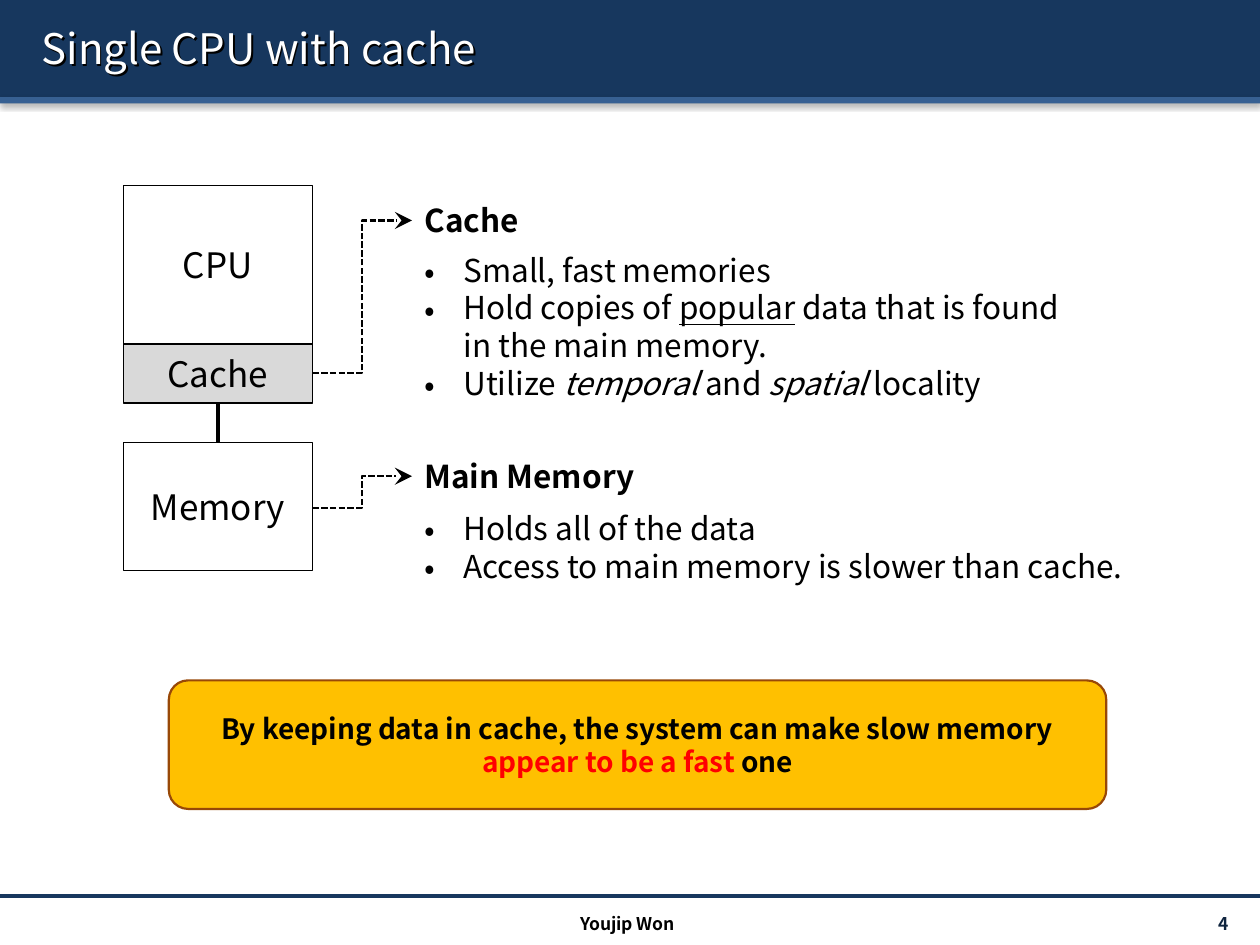
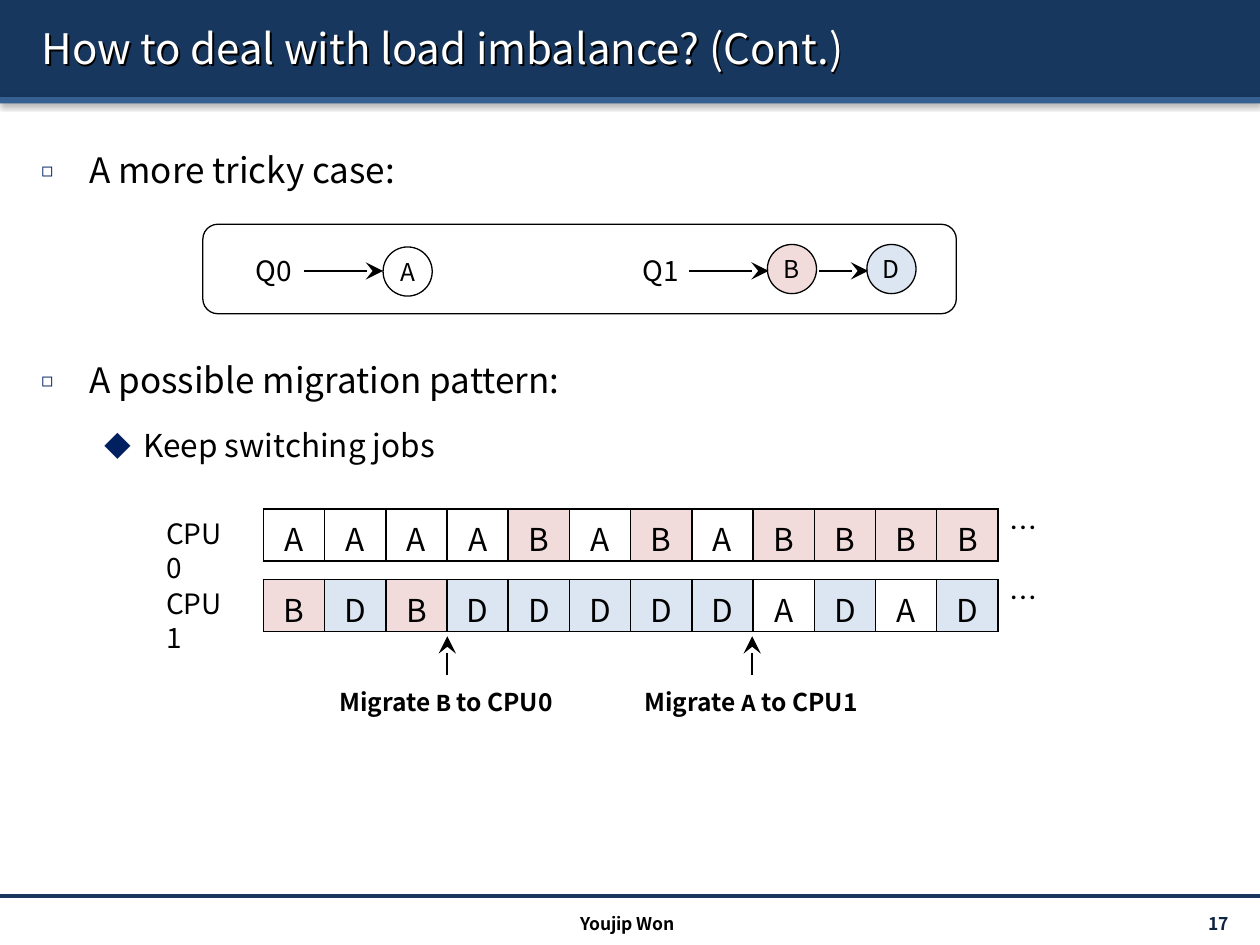
import lxml.etree
import pptx
import pptx.dml.color
import pptx.enum.dml
import pptx.enum.shapes
import pptx.enum.text
import pptx.oxml.ns
import pptx.util


class Theme:
    font = "Noto Sans CJK KR"
    code = "Courier New"
    navy = "17375E"
    blue = "376092"
    ink = "000000"
    paper = "FFFFFF"
    gray = "D9D9D9"
    gold = "FFC000"
    brown = "984807"
    red = "FF0000"
    mark = "002060"
    number = "0F243E"
    jobs = {"A": "FFFFFF", "B": "F2DCDB", "D": "DCE6F2"}
    title = 24
    head = 20
    body = 18
    label = 16
    small = 14
    foot = 10


PX = 9144
qn = pptx.oxml.ns.qn
rgb = pptx.dml.color.RGBColor.from_string
Pt = pptx.util.Pt
Shape = pptx.enum.shapes.MSO_SHAPE
Link = pptx.enum.shapes.MSO_CONNECTOR
Align = pptx.enum.text.PP_ALIGN
Anchor = pptx.enum.text.MSO_ANCHOR


def node(parent, tag, **attrs):
    return lxml.etree.SubElement(parent, qn(tag), {k: str(v) for k, v in attrs.items()})


def write(frame, text, size=Theme.body, color=Theme.ink, bold=False, align=Align.LEFT,
          bullet=None, spacing=None, before=0, special={}):
    for line in text.split("\n"):
        para = frame.add_paragraph() if frame.text else frame.paragraphs[0]
        para.alignment = align
        para.line_spacing = spacing
        para.space_before = Pt(before)
        if bullet:
            char, left, hang, scale, tint = bullet
            props = para._p.get_or_add_pPr()
            props.set("marL", str(left * PX))
            props.set("indent", str(-hang * PX))
            node(node(props, "a:buClr"), "a:srgbClr", val=tint)
            node(props, "a:buSzPct", val=scale * 1000)
            node(props, "a:buFont", typeface=Theme.font)
            node(props, "a:buChar", char=char)
        for part in line.split("|"):
            run = para.add_run()
            run.text = part
            style = {"name": Theme.font, "color": color, "bold": bold, **special.get(part, {})}
            run.font.color.rgb = rgb(style.pop("color"))
            run.font.size = Pt(size)
            for key, value in style.items():
                setattr(run.font, key, value)
            node(run._r.get_or_add_rPr(), "a:ea", typeface=style["name"])


deck = pptx.Presentation()
deck.slide_width, deck.slide_height = 1000 * PX, 750 * PX
pages = []
boxes = []
links = []
notes = []

for name, number in (("Single CPU with cache", "4"),
                     ("How to deal with load imbalance? (Cont.)", "17")):
    page = deck.slides.add_slide(deck.slide_layouts[5])
    pages.append(page)
    title = page.shapes.title
    casts = [(title, 0, 1.5, 45, 100)]
    for top, tall, fill in ((0, 77, Theme.navy), (77, 5, Theme.blue)):
        band = page.shapes.add_shape(Shape.RECTANGLE, 0, top * PX, 1000 * PX, tall * PX)
        band.fill.solid()
        band.fill.fore_color.rgb = rgb(fill)
        band.line.fill.background()
        casts.append((band, 3.1, 1.6, 90, 38))

    page.shapes.element.append(title.element)
    title.left, title.top, title.width, title.height = (n * PX for n in (23, 6, 961, 64))
    title.text_frame.vertical_anchor = Anchor.MIDDLE
    title.text_frame.auto_size = pptx.enum.text.MSO_AUTO_SIZE.NONE
    write(title.text_frame, name, size=Theme.title, color=Theme.paper)

    for shape, blur, dist, turn, alpha in casts:
        shape.shadow.inherit = False
        cast = node(shape.element.spPr.find(qn("a:effectLst")), "a:outerShdw",
                    blurRad=Pt(blur), dist=Pt(dist), dir=turn * 60000, rotWithShape=0)
        node(node(cast, "a:srgbClr", val=Theme.ink), "a:alpha", val=alpha * 1000)

    foot = dict(size=Theme.foot, bold=True)
    links.append((page, Link.STRAIGHT, (0, 711, 1000, 711), Theme.navy, 2, False, False))
    notes += [(page, (871, 721, 114, 24), number, dict(foot, color=Theme.number, align=Align.RIGHT)),
              (page, (332, 721, 332, 24), "Youjip Won", dict(foot, align=Align.CENTER))]

cache, load = pages

for text, top, tall, fill in (("CPU", 147, 126, Theme.paper),
                              ("Cache", 273, 47, Theme.gray),
                              ("Memory", 351, 102, Theme.paper)):
    boxes.append((cache, Shape.RECTANGLE, (98, top, 150, tall), fill, Theme.ink, 0.75, 12,
                  text, dict(size=Theme.head)))
boxes.append((cache, Shape.ROUNDED_RECTANGLE, (134, 540, 744, 102), Theme.gold, Theme.brown, 1.25, 12,
              "By keeping data in cache, the system can make slow memory |appear to be a fast |one",
              dict(size=Theme.label, bold=True, special={"appear to be a fast ": {"color": Theme.red}})))
boxes.append((load, Shape.ROUNDED_RECTANGLE, (161, 178, 598, 71), None, Theme.ink, 0.75, 0, "", {}))
for job, left, top in (("A", 304, 196), ("B", 609, 194), ("D", 688, 194)):
    boxes.append((load, Shape.OVAL, (left, top, 39, 39), Theme.jobs[job], Theme.ink, 0.75, 0,
                  job, dict(size=Theme.small)))

for page, kind, at, fill, edge, width, inset, text, style in boxes:
    box = page.shapes.add_shape(kind, *(n * PX for n in at))
    box.shadow.inherit = False
    if fill:
        box.fill.solid()
        box.fill.fore_color.rgb = rgb(fill)
    else:
        box.fill.background()
    box.line.color.rgb = rgb(edge)
    box.line.width = Pt(width)
    if fill == Theme.gold:
        box.adjustments[0] = 0.15
    if text:
        frame = box.text_frame
        frame.word_wrap = True
        frame.vertical_anchor = Anchor.MIDDLE
        frame.margin_left = frame.margin_right = inset * PX
        write(frame, text, align=Align.CENTER, **style)

links.append((cache, Link.STRAIGHT, (173, 320, 173, 351), Theme.ink, 2, False, False))
for low, high in ((296, 175), (403, 378)):
    links.append((cache, Link.ELBOW, (248, low, 327, high), Theme.ink, 1.25, True, True))
for left, right in ((241, 304), (547, 610), (650, 689)):
    links.append((load, Link.STRAIGHT, (left, 215, right, 215), Theme.ink, 1.5, False, True))
for left in (355, 597):
    links.append((load, Link.STRAIGHT, (left, 536, left, 505), Theme.ink, 1, False, True))

for page, kind, ends, color, width, dash, arrow in links:
    link = page.shapes.add_connector(kind, *(n * PX for n in ends))
    link.line.color.rgb = rgb(color)
    link.line.width = Pt(width)
    if dash:
        link.line.dash_style = pptx.enum.dml.MSO_LINE.SQUARE_DOT
    if arrow:
        node(link.element.spPr.find(qn("a:ln")), "a:tailEnd", type="stealth", w="lg", len="lg")
    node(link.element.spPr, "a:effectLst")

dot = dict(bullet=("•", 31, 31, 100, Theme.ink))
slant = {"italic": True}
notes += [
    (cache, (327, 155, 120, 40), "Cache", dict(bold=True)),
    (cache, (327, 194, 543, 131),
     "Small, fast memories\n"
     "Hold copies of |popular| data that is found in the main memory.\n"
     "Utilize |temporal| and |spatial| locality",
     dict(dot, special={"popular": {"underline": True}, "temporal": slant, "spatial": slant})),
    (cache, (327, 358, 252, 40), "Main Memory", dict(bold=True)),
    (cache, (327, 399, 598, 71),
     "Holds all of the data\nAccess to main memory is slower than cache.", dot),
]
tag = dict(size=Theme.label)
notes += [(load, (193, 196, 50, 37), "Q0", tag), (load, (500, 196, 50, 37), "Q1", tag)]
for left, job, goal in ((240, "B", "CPU0"), (482, "A", "CPU1")):
    notes.append((load, (left, 540, 228, 34), f"Migrate |{job}| to {goal}",
                  dict(size=Theme.small, bold=True, align=Align.CENTER,
                       special={job: {"name": Theme.code}})))

for row, (name, jobs) in enumerate((("CPU0", "AAAABABABBBB"), ("CPU1", "BDBDDDDDADAD"))):
    top = 404 + 56 * row
    notes += [(load, (122, top + 1, 74, 37), name, tag), (load, (791, top - 4, 39, 37), "…", tag)]
    grid = load.shapes.add_table(1, len(jobs), 209 * PX, top * PX, 583 * PX, 41 * PX).table
    grid.first_row = grid.horz_banding = False
    grid.rows[0].height = 41 * PX
    for col, job in enumerate(jobs):
        grid.columns[col].width = 583 * PX // len(jobs)
        cell = grid.cell(0, col)
        cell.margin_top, cell.margin_bottom = 5 * PX, 0
        for side in "LRTB":
            edge = node(cell._tc.get_or_add_tcPr(), f"a:ln{side}", w=Pt(1))
            node(node(edge, "a:solidFill"), "a:srgbClr", val=Theme.ink)
        cell.fill.solid()
        cell.fill.fore_color.rgb = rgb(Theme.jobs[job])
        write(cell.text_frame, job, align=Align.CENTER)

for page, at, text, style in notes:
    frame = page.shapes.add_textbox(*(n * PX for n in at)).text_frame
    frame.word_wrap = True
    if style.get("size") == Theme.foot:
        frame.vertical_anchor = Anchor.MIDDLE
    write(frame, text, **style)

frame = load.shapes.add_textbox(*(n * PX for n in (23, 96, 961, 602))).text_frame
frame.word_wrap = True
square = ("◻", 38, 38, 55, Theme.mark)
for text, size, before, bullet in (
        ("A more tricky case:", Theme.head, 0, square),
        ("A possible migration pattern:", Theme.head, 84, square),
        ("Keep switching jobs", Theme.body, 4, ("◆", 81, 31, 85, Theme.mark))):
    write(frame, text, size=size, before=before, bullet=bullet, spacing=1.5)

deck.save("out.pptx")
